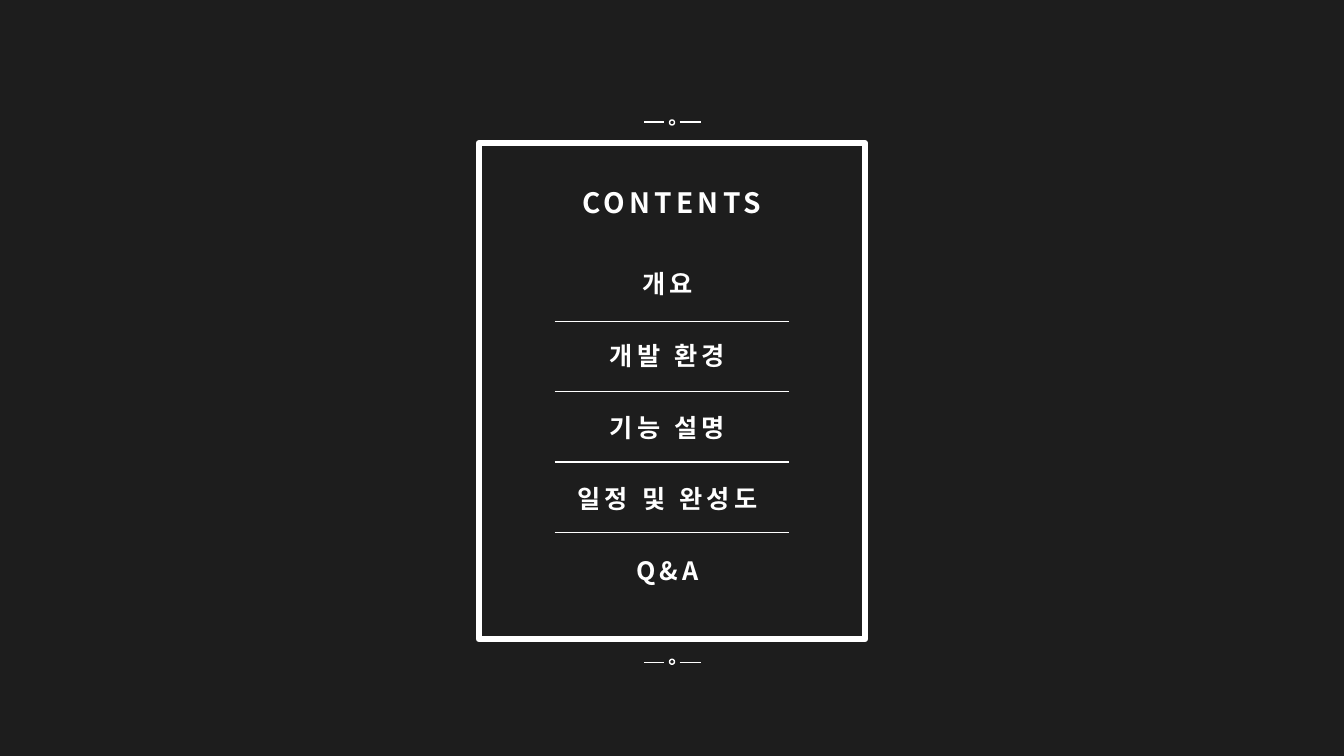
from lxml import etree
from pptx import Presentation
from pptx.dml.color import RGBColor
from pptx.enum.shapes import MSO_CONNECTOR, MSO_SHAPE
from pptx.enum.text import MSO_ANCHOR, MSO_AUTO_SIZE, PP_ALIGN
from pptx.oxml.ns import qn
from pptx.util import Inches, Pt

COLORS = {"background": "1D1D1D", "foreground": "FFFFFF"}
FONT = "Noto Sans CJK KR"
WHITE = RGBColor.from_string(COLORS["foreground"])

deck = Presentation()
deck.slide_width, deck.slide_height = Inches(13.33), Inches(7.5)
page = deck.slides.add_slide(deck.slide_layouts[5])
page.background.fill.solid()
page.background.fill.fore_color.rgb = RGBColor.from_string(COLORS["background"])


def add_rule(left, right, top):
    rule = page.shapes.add_connector(
        MSO_CONNECTOR.STRAIGHT, Inches(left), Inches(top), Inches(right), Inches(top))
    rule.line.color.rgb = WHITE
    rule.line.width = Pt(1)
    etree.SubElement(rule.line._get_or_add_ln().getparent(), qn("a:effectLst"))


def write_label(box, text, size):
    frame = box.text_frame
    frame.word_wrap = False
    frame.auto_size = MSO_AUTO_SIZE.SHAPE_TO_FIT_TEXT
    frame.vertical_anchor = MSO_ANCHOR.MIDDLE
    para = frame.paragraphs[0]
    para.alignment = PP_ALIGN.CENTER
    span = para.add_run()
    span.text = text
    span.font.name = FONT
    span.font.size = Pt(size)
    span.font.bold = True
    span.font.color.rgb = WHITE
    properties = span.font._element
    properties.set("spc", "300")
    etree.SubElement(properties, qn("a:ea"), typeface=FONT)


# Frame and the small rings above and below it
outlines = [
    (MSO_SHAPE.RECTANGLE, 4.75, 1.42, 3.83, 4.92, 4.5),
    (MSO_SHAPE.OVAL, 6.64, 1.19, 0.05, 0.05, 1),
    (MSO_SHAPE.OVAL, 6.64, 6.54, 0.05, 0.05, 1),
]
for kind, left, top, width, height, weight in outlines:
    outline = page.shapes.add_shape(
        kind, Inches(left), Inches(top), Inches(width), Inches(height))
    outline.shadow.inherit = False
    outline.fill.background()
    outline.line.color.rgb = WHITE
    outline.line.width = Pt(weight)

# Dashes beside the rings
for top in (1.21, 6.57):
    add_rule(6.39, 6.59, top)
    add_rule(6.74, 6.95, top)

# Title
title = page.shapes.title
title.left, title.top = Inches(5.56), Inches(1.79)
title.width, title.height = Inches(2.21), Inches(0.44)
write_label(title, "CONTENTS", 20)

# Contents list with a rule between neighbours
entries = [("개요", 0.79), ("개발 환경", 1.49), ("기능 설명", 1.49),
           ("일정 및 완성도", 2.18), ("Q&A", 0.93)]
for index, (text, width) in enumerate(entries):
    if index:
        add_rule(5.5, 7.83, 3.19 + 0.697 * (index - 1))
    entry = page.shapes.add_textbox(
        Inches(6.62 - width / 2), Inches(2.61 + 0.713 * index), Inches(width), Inches(0.4))
    write_label(entry, text, 18)

deck.save("out.pptx")
